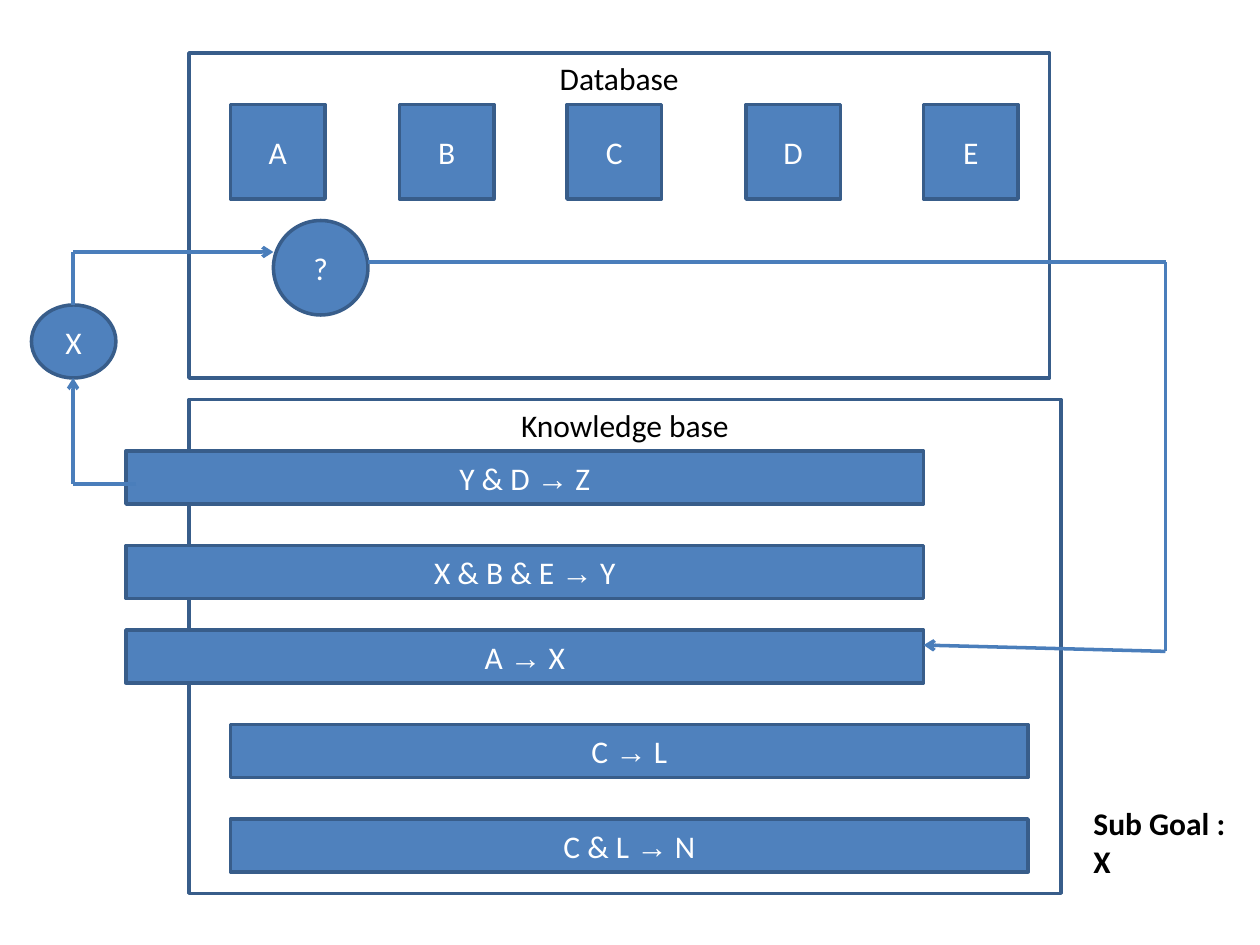
from dataclasses import dataclass

from lxml import etree
from pptx import Presentation
from pptx import util as u
from pptx.dml import color
from pptx.enum import shapes, text
from pptx.oxml import ns


@dataclass(frozen=True)
class Theme:
    node: str = "4F81BD"
    outline: str = "385D8A"
    arrow: str = "4A7EBB"
    light: str = "FFFFFF"
    dark: str = "000000"
    font: str = "Calibri"
    symbol_font: str = "Arial"
    size: int = 18
    line: int = 2


theme = Theme()
rgb = color.RGBColor.from_string
RECTANGLE = shapes.MSO_SHAPE.RECTANGLE
OVAL = shapes.MSO_SHAPE.OVAL

deck = Presentation()
deck.slide_width, deck.slide_height = u.Inches(10), u.Inches(7.5)
page = deck.slides.add_slide(deck.slide_layouts[6])


def add_label(words, *, at, kind=RECTANGLE, fill=theme.node, ink=theme.light,
              anchor=text.MSO_ANCHOR.MIDDLE, align=text.PP_ALIGN.CENTER, bold=False):
    """Draw a filled shape with text, or a plain text box when kind is None."""
    place = [u.Inches(value) for value in at]
    if kind is None:
        box = page.shapes.add_textbox(*place)
    else:
        box = page.shapes.add_shape(kind, *place)
        box.shadow.inherit = False
        box.fill.solid()
        box.fill.fore_color.rgb = rgb(fill)
        box.line.color.rgb = rgb(theme.outline)
        box.line.width = u.Pt(theme.line)
    frame = box.text_frame
    frame.word_wrap = True
    frame.vertical_anchor = anchor
    para = frame.paragraphs[0]
    para.alignment = align
    before, arrow, after = words.partition("→")
    for part in filter(None, (before, arrow, after)):
        span = para.add_run()
        span.text = part
        span.font.name = theme.symbol_font if part == "→" else theme.font
        span.font.size = u.Pt(theme.size)
        span.font.bold = bold
        span.font.color.rgb = rgb(ink)


def add_route(points, *, head=False):
    """Join the points with straight lines; head puts an arrow on the last."""
    for start, end in zip(points, points[1:]):
        line = page.shapes.add_connector(
            shapes.MSO_CONNECTOR.STRAIGHT, *[u.Inches(value) for value in start + end])
        line.line.color.rgb = rgb(theme.arrow)
        line.line.width = u.Pt(theme.line)
        if head and end == points[-1]:
            etree.SubElement(line.line._get_or_add_ln(), ns.qn("a:tailEnd"), type="arrow")
        etree.SubElement(line._element.spPr, ns.qn("a:effectLst"))


# Database panel with its facts
panel = dict(fill=theme.light, ink=theme.dark, anchor=text.MSO_ANCHOR.TOP)
add_label("Database", at=(1.5, 0.42, 6.83, 2.58), **panel)
for fact, left in zip("ABCDE", (1.83, 3.17, 4.5, 5.92, 7.33)):
    add_label(fact, at=(left, 0.83, 0.75, 0.75))

# Knowledge base panel with its rules; the active ones stand out to the left
add_label("Knowledge base", at=(1.5, 3.17, 6.92, 3.92), **panel)
rules = [
    ("Y & D → Z", 1, 3.58),
    ("X & B & E → Y", 1, 4.33),
    ("A → X", 1, 5),
    ("C → L", 1.83, 5.75),
    ("C & L → N", 1.83, 6.5),
]
for rule, left, top in rules:
    add_label(rule, at=(left, top, 6.33, 0.42))

# Goal and its caption
add_label("X", at=(0.25, 2.42, 0.67, 0.58), kind=OVAL)
add_label("Sub Goal : X", at=(8.58, 6.33, 1.25, 0.7), kind=None, ink=theme.dark,
          anchor=text.MSO_ANCHOR.TOP, align=text.PP_ALIGN.LEFT, bold=True)

# Rule to goal, goal to question
add_route([(1.08, 3.84), (0.58, 3.84), (0.58, 3)], head=True)
add_route([(0.58, 2.42), (0.58, 2), (2.17, 2)], head=True)

# Question, then on to the rule that yields the sub goal
add_label("?", at=(2.17, 1.75, 0.75, 0.75), kind=OVAL)
add_route([(2.92, 2.08), (9.25, 2.08), (9.25, 5.17), (7.33, 5.12)], head=True)

deck.save("out.pptx")
